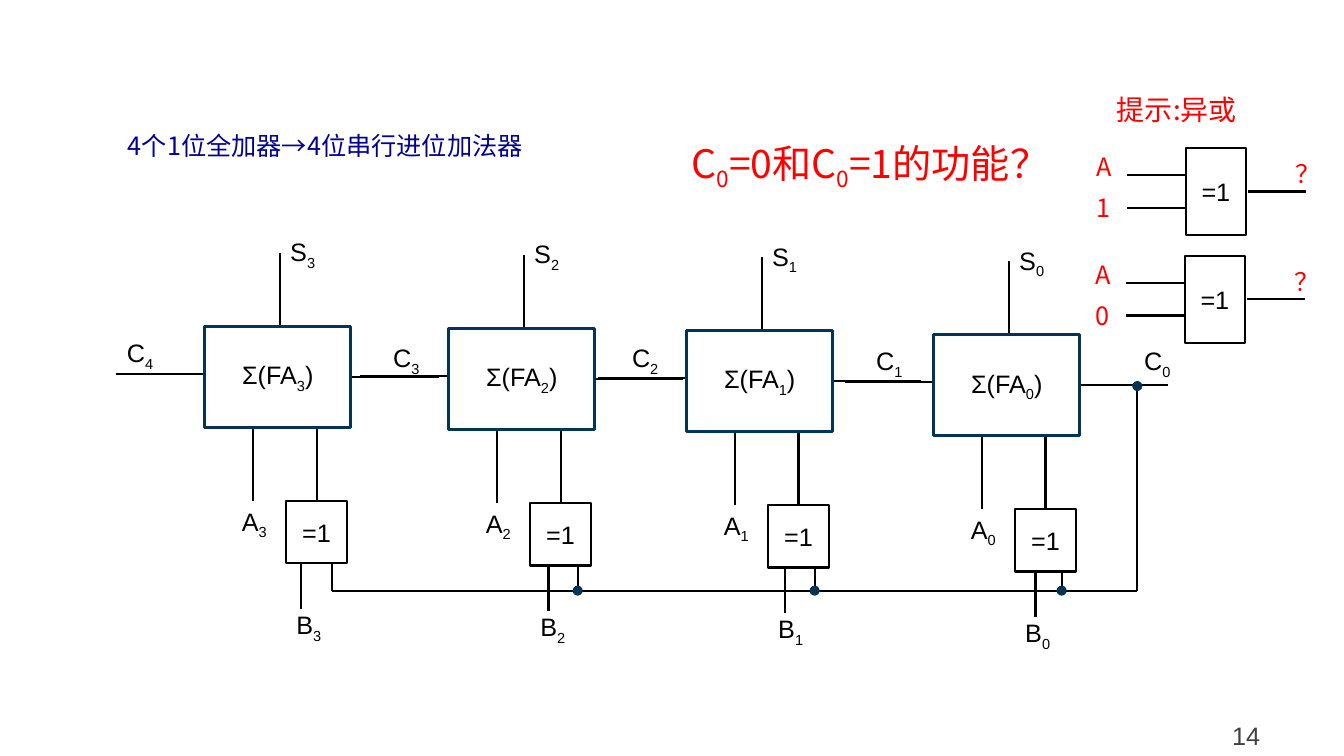
"""Build the slide of a four-bit ripple-carry adder with XOR-gated inputs."""
from pptx import Presentation
from pptx import util as u
from pptx.dml.color import RGBColor
from pptx.enum import shapes, text
from pptx.oxml import parse_xml
from pptx.oxml.ns import nsdecls, qn

SLIDE = (1333, 750)
PX = 9144

THEME = {
    "latin": "Arial", "cjk": "Noto Sans CJK SC",
    "black": "000000", "white": "FFFFFF", "navy": "033455",
    "blue": "000099", "red": "FF0000", "grey": "404040",
    "body": 18, "hint": 20, "question": 28,
    "wire": 1.5, "frame": 2.25,
}

HEADING = ("4个1位全加器→4位串行进位加法器", (117, 124, 417, 40))
QUESTION = ("C_0_=0和C_0_=1的功能？", (676, 133, 395, 57))
HINT = ("提示:异或", (1098, 87, 164, 44))
PAGE_NUMBER = ("14", (1148, 705, 176, 43))

# bit, adder left, adder top, B input x, control tap x
STAGES = [
    (0, 926, 332, 1027, 1053),
    (1, 681, 328, 779, 808),
    (2, 445, 326, 544, 573),
    (3, 203, 324, 299, 329),
]
CARRY_LABELS = [(1125, 338), (859, 338), (617, 335), (380, 335), (116, 330)]
HINT_GATES = [("1", 1176, 147), ("0", 1175, 254)]

ADDER = (145, 100)
GATE = (60, 62)
HINT_GATE = (60, 86)
GATE_OFFSET = (81, 173)
LABEL = (48, 40)
BUS_Y, CONTROL_X, CONTROL_Y = 586, 1128, 383
DOT = 10

deck = Presentation()
deck.slide_width, deck.slide_height = (side * PX for side in SLIDE)
page = deck.slides.add_slide(deck.slide_layouts[6])


def emu(lengths):
    return [u.Emu(length * PX) for length in lengths]


def colour(name):
    return RGBColor.from_string(THEME[name])


def apply(target, values):
    for name, value in values.items():
        setattr(target, name, value)


def write(frame, words, font="latin", ink="black", size="body", centred=False, spacing=None):
    para = frame.paragraphs[0]
    apply(para, {
        "alignment": text.PP_ALIGN.CENTER if centred else text.PP_ALIGN.LEFT,
        "line_spacing": spacing,
    })
    for order, part in enumerate(words.split("_")):
        if not part:
            continue
        span = para.add_run()
        span.text = part
        apply(span.font, {"name": THEME[font], "size": u.Pt(THEME[size])})
        span.font.color.rgb = colour(ink)
        props = span._r.get_or_add_rPr()
        if order % 2:
            props.set("baseline", "-25000")
        props.find(qn("a:latin")).addnext(
            parse_xml(f'<a:ea {nsdecls("a")} typeface="{THEME["cjk"]}"/>'))


def label(words, place, wrap=False, anchor=text.MSO_ANCHOR.TOP, **style):
    frame = page.shapes.add_textbox(*emu(place)).text_frame
    apply(frame, {
        "word_wrap": wrap, "vertical_anchor": anchor,
        "auto_size": text.MSO_AUTO_SIZE.SHAPE_TO_FIT_TEXT,
    })
    write(frame, words, **style)


def wire(x1, y1, x2, y2):
    line = page.shapes.add_connector(shapes.MSO_CONNECTOR.STRAIGHT, *emu((x1, y1, x2, y2)))
    line.line.color.rgb = colour("black")
    line.line.width = u.Pt(THEME["wire"])
    line._element.spPr.append(parse_xml(f'<a:effectLst {nsdecls("a")}/>'))


def solid(kind, place, fill):
    shape = page.shapes.add_shape(kind, *emu(place))
    shape.shadow.inherit = False
    shape.fill.solid()
    shape.fill.fore_color.rgb = colour(fill)
    return shape


def block(words, place, edge="black", weight="wire"):
    box = solid(shapes.MSO_SHAPE.RECTANGLE, place, "white")
    box.line.color.rgb = colour(edge)
    box.line.width = u.Pt(THEME[weight])
    apply(box.text_frame, {
        "margin_left": 0, "margin_right": 0, "word_wrap": True,
        "vertical_anchor": text.MSO_ANCHOR.MIDDLE,
    })
    write(box.text_frame, words, centred=True)


def dot(x, y):
    place = (x - DOT // 2, y - DOT // 2, DOT, DOT)
    solid(shapes.MSO_SHAPE.OVAL, place, "navy").line.fill.background()


def draw_stage(bit, left, top, b_x, tap_x):
    width, height = ADDER
    bottom = top + height
    gate_x, gate_y = left + GATE_OFFSET[0], top + GATE_OFFSET[1]
    gate_bottom = gate_y + GATE[1]
    for ends in (
        (left + 75, top - 73, left + 75, top),
        (left + 48, bottom, left + 48, gate_y),
        (left + 111, bottom, left + 111, gate_y),
        (left + width, top + 50, left + width + 87, top + 50),
        (left - 88, top + 47, left, top + 47),
        (b_x, gate_bottom, b_x, gate_bottom + 45),
        (tap_x, gate_bottom, tap_x, BUS_Y),
    ):
        wire(*ends)
    block(f"Σ(FA_{bit}_)", (left, top, *ADDER), "navy", "frame")
    block("=1", (gate_x, gate_y, *GATE))
    for name, dx, dy in (("S", 75, -94), ("A", 27, 173), ("B", 81, 276)):
        label(f"{name}_{bit}", (left + dx, top + dy, *LABEL))


def draw_hint_gate(value, left, top):
    width, height = HINT_GATE
    block("=1", (left, top, *HINT_GATE))
    for dy in (27, 59):
        wire(left - 58, top + dy, left, top + dy)
    wire(left + width + 2, top + 43, left + width + 59, top + 43)
    for words, dx, dy, span in (("A", -98, -2, 38), (value, -98, 39, 35), ("？", 99, 5, 45)):
        label(words, (left + dx, top + dy, span, 40), font="cjk", ink="red")


def main():
    label(*PAGE_NUMBER, wrap=True, anchor=text.MSO_ANCHOR.MIDDLE,
          ink="grey", centred=True, spacing=1.2)
    label(*HEADING, wrap=True, font="cjk", ink="blue")
    wire(CONTROL_X, CONTROL_Y, CONTROL_X, BUS_Y)
    wire(CONTROL_X, BUS_Y, STAGES[-1][-1], BUS_Y)
    for stage in STAGES:
        draw_stage(*stage)
    for bit, place in enumerate(CARRY_LABELS):
        label(f"C_{bit}", (*place, *LABEL))
    for stage in STAGES[:-1]:
        dot(stage[-1], BUS_Y)
    dot(CONTROL_X, CONTROL_Y)
    label(*QUESTION, wrap=True, font="cjk", ink="red", size="question")
    for gate in HINT_GATES:
        draw_hint_gate(*gate)
    label(*HINT, wrap=True, font="cjk", ink="red", size="hint")
    deck.save("out.pptx")


if __name__ == "__main__":
    main()
